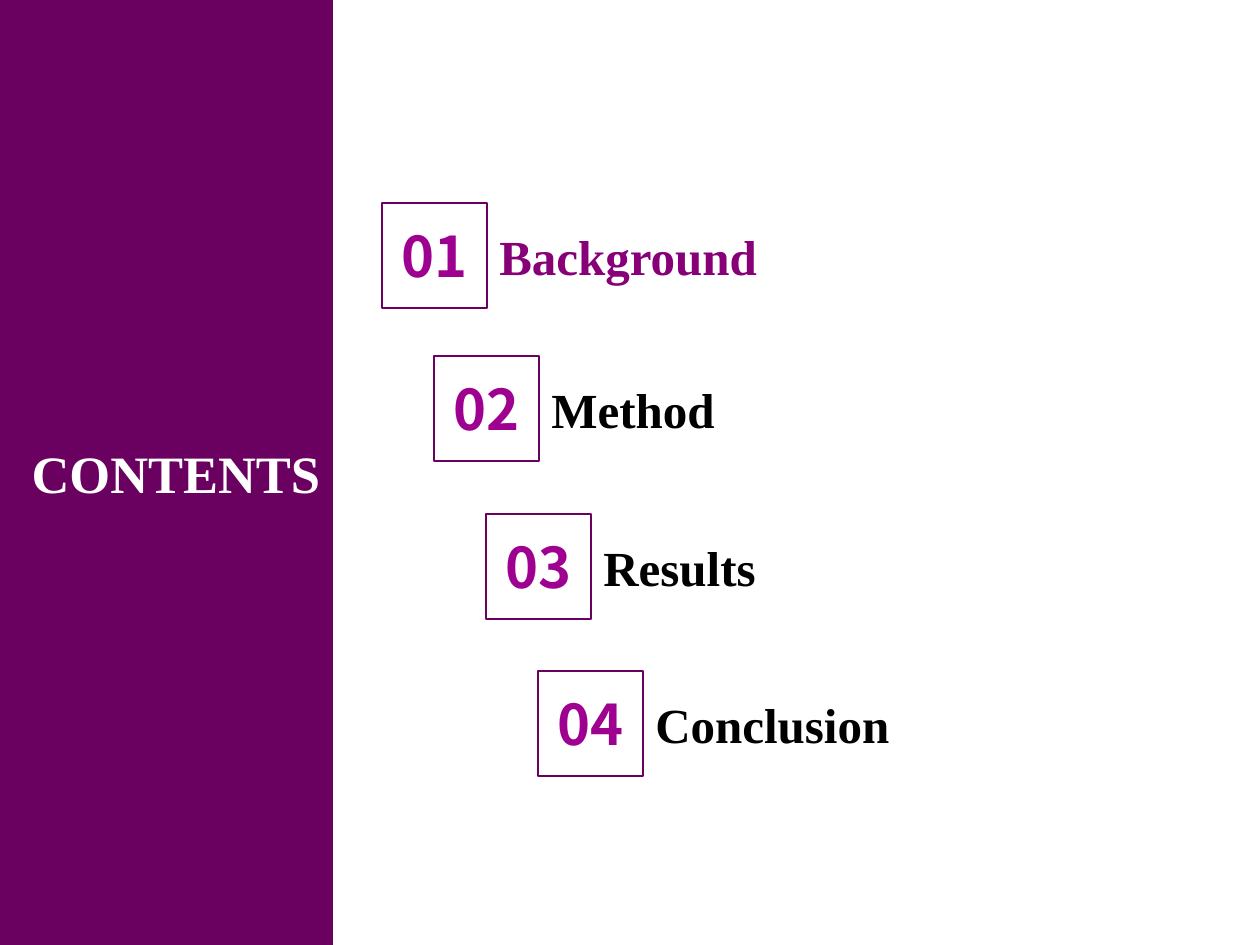
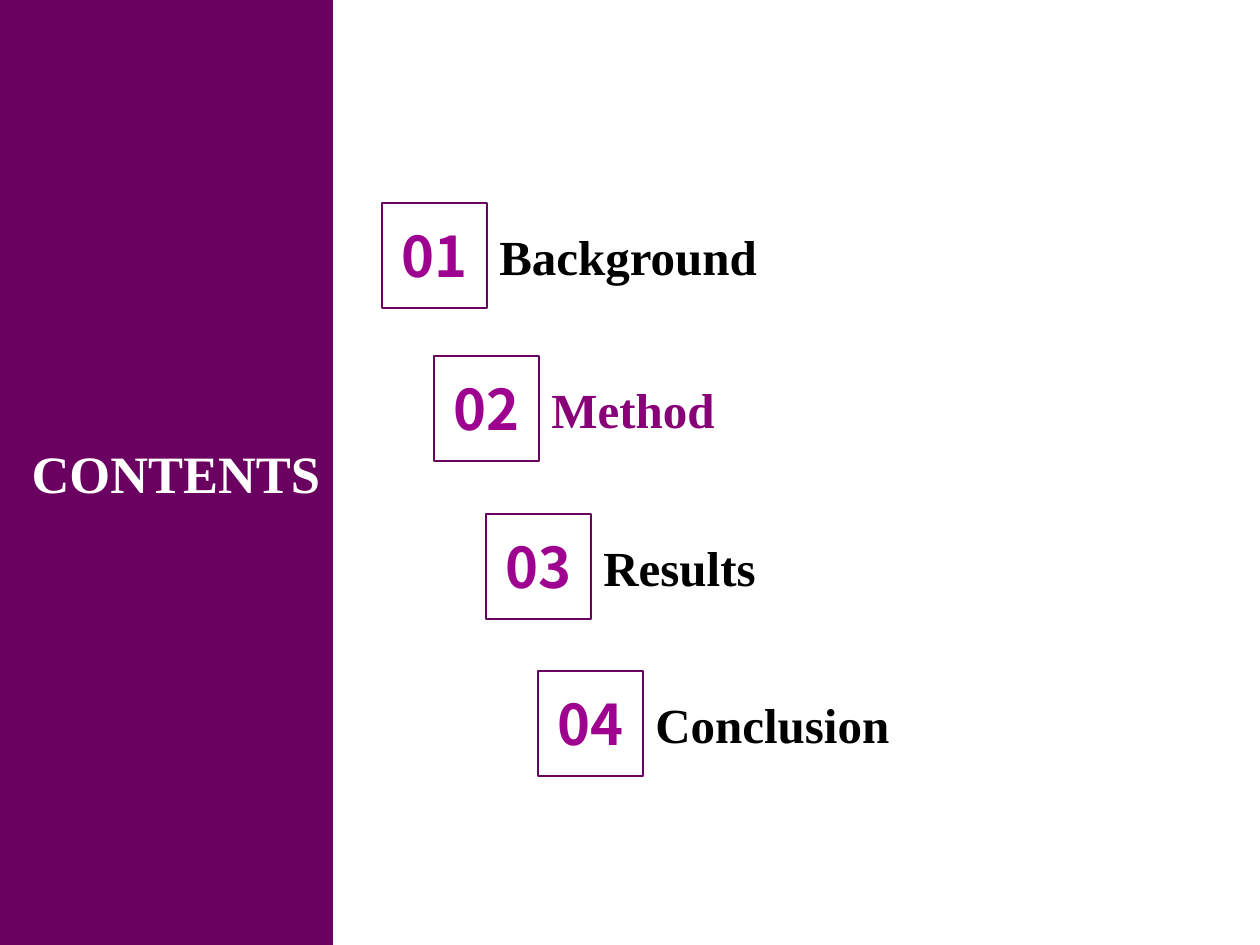
from pptx import Presentation
from pptx.dml.color import RGBColor
from pptx.enum.shapes import MSO_SHAPE
from pptx.enum.text import MSO_ANCHOR, MSO_AUTO_SIZE, PP_ALIGN
from pptx.util import Emu, Pt

RECT = MSO_SHAPE.RECTANGLE
TOP, MIDDLE = MSO_ANCHOR.TOP, MSO_ANCHOR.MIDDLE
LEFT, CENTER, RIGHT = PP_ALIGN.LEFT, PP_ALIGN.CENTER, PP_ALIGN.RIGHT
NO_FIT = MSO_AUTO_SIZE.NONE

PURPLE = RGBColor(0x6A, 0x00, 0x5F)
ACTIVE = RGBColor(0x87, 0x00, 0x78)
MAGENTA = RGBColor(0x9E, 0x00, 0x8F)
BLACK = RGBColor(0x00, 0x00, 0x00)
WHITE = RGBColor(0xFF, 0xFF, 0xFF)

SERIF = "Times New Roman"
SANS = "Noto Sans CJK SC"

PX_PER_INCH = 126
SLIDE_W, SLIDE_H = 1260, 945
BAND_W = 333
TITLE_ONLY = 5

# The boxes form a staircase
SECTIONS = ["Background", "Method", "Results", "Conclusion"]
BOX_TOPS = [203, 356, 514, 671]
BOX_LEFT, BOX_STEP, BOX = 382, 52, 105


def px(n):
    return Emu(round(n * 914400 / PX_PER_INCH))


def write(s, text, *, size, color, font=SERIF, align=LEFT, anchor=TOP):
    """Put one bold, formatted line into a shape."""
    tf = s.text_frame
    tf.word_wrap = True
    tf.auto_size = NO_FIT
    tf.vertical_anchor = anchor
    p = tf.paragraphs[0]
    p.alignment = align
    r = p.add_run()
    r.text = text
    r.font.name = font
    r.font.size = Pt(size)
    r.font.bold = True
    r.font.color.rgb = color


def add_rect(shapes, x, y, w, h, fill=None, line=None):
    s = shapes.add_shape(RECT, px(x), px(y), px(w), px(h))
    s.shadow.inherit = False
    if fill is None:
        s.fill.background()
    else:
        s.fill.solid()
        s.fill.fore_color.rgb = fill
    if line is None:
        s.line.fill.background()
    else:
        s.line.color.rgb = line
        s.line.width = Pt(1)
    return s


def add_text(shapes, x, y, w, h, text, **fmt):
    s = shapes.add_textbox(px(x), px(y), px(w), px(h))
    write(s, text, **fmt)


def add_title_band(slide):
    band = add_rect(slide.shapes, 0, 0, BAND_W, SLIDE_H, fill=PURPLE)
    title = slide.shapes.title
    title._element.addprevious(band._element)  # band goes behind the title
    title.left, title.top = px(0), px(435)
    title.width, title.height = px(BAND_W), px(77)
    write(title, "CONTENTS", size=30, color=WHITE, align=RIGHT)


def add_section(slide, index, name, active):
    x, y = BOX_LEFT + index * BOX_STEP, BOX_TOPS[index]
    shapes = slide.shapes.add_group_shape().shapes
    add_text(shapes, x + BOX, y + 17, 284, 72, name,
             size=28, color=ACTIVE if active else BLACK)
    add_text(shapes, x, y + 12, BOX, 81, f"{index + 1:02d}", size=32,
             color=MAGENTA, font=SANS, align=CENTER, anchor=MIDDLE)
    add_rect(shapes, x, y, BOX, BOX, line=PURPLE)


def add_contents_slide(prs, current):
    slide = prs.slides.add_slide(prs.slide_layouts[TITLE_ONLY])
    add_title_band(slide)
    for i, name in enumerate(SECTIONS):
        add_section(slide, i, name, active=name == current)


def main():
    prs = Presentation()
    prs.slide_width, prs.slide_height = px(SLIDE_W), px(SLIDE_H)
    for current in ("Background", "Method"):
        add_contents_slide(prs, current)
    prs.save("out.pptx")


if __name__ == "__main__":
    main()
